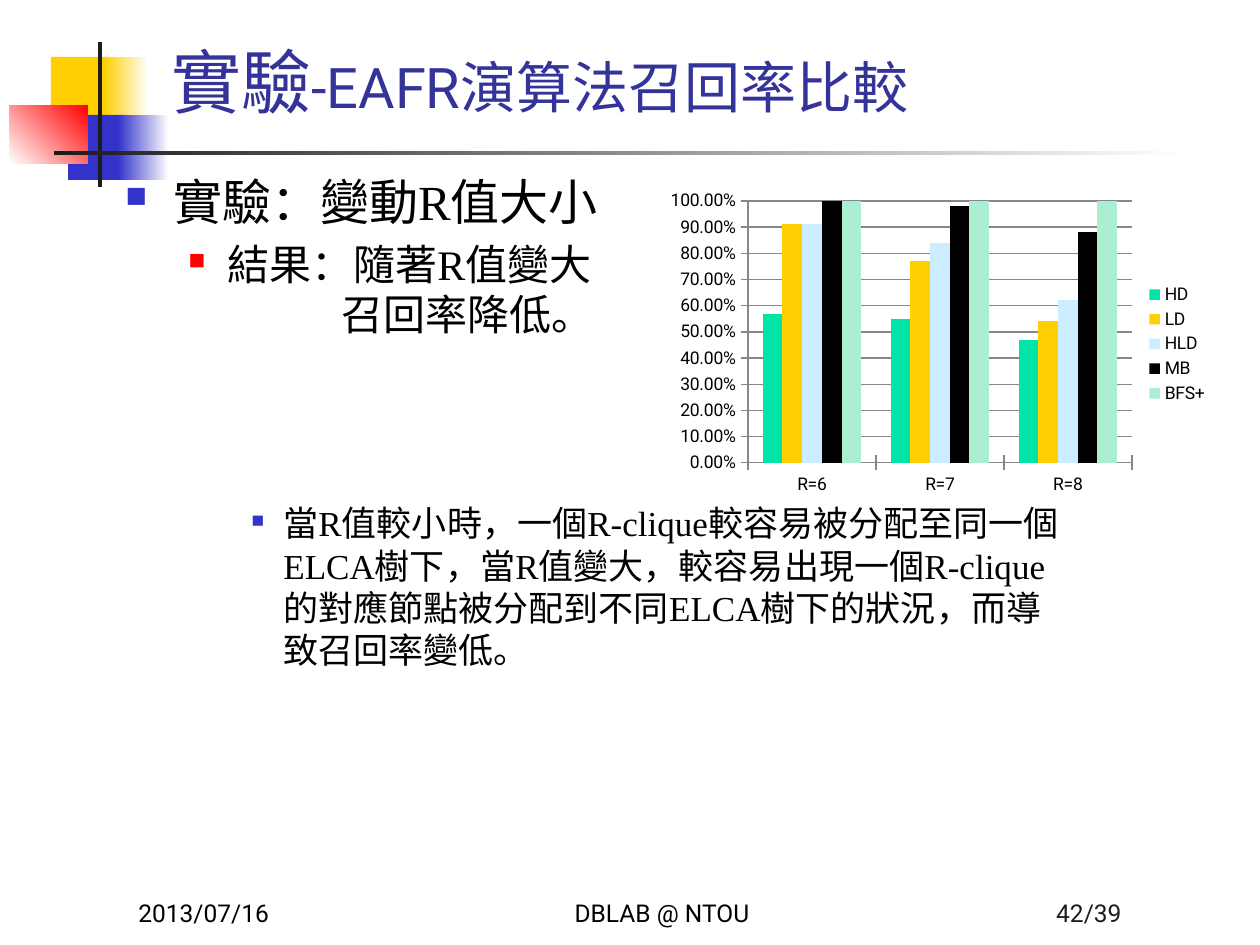
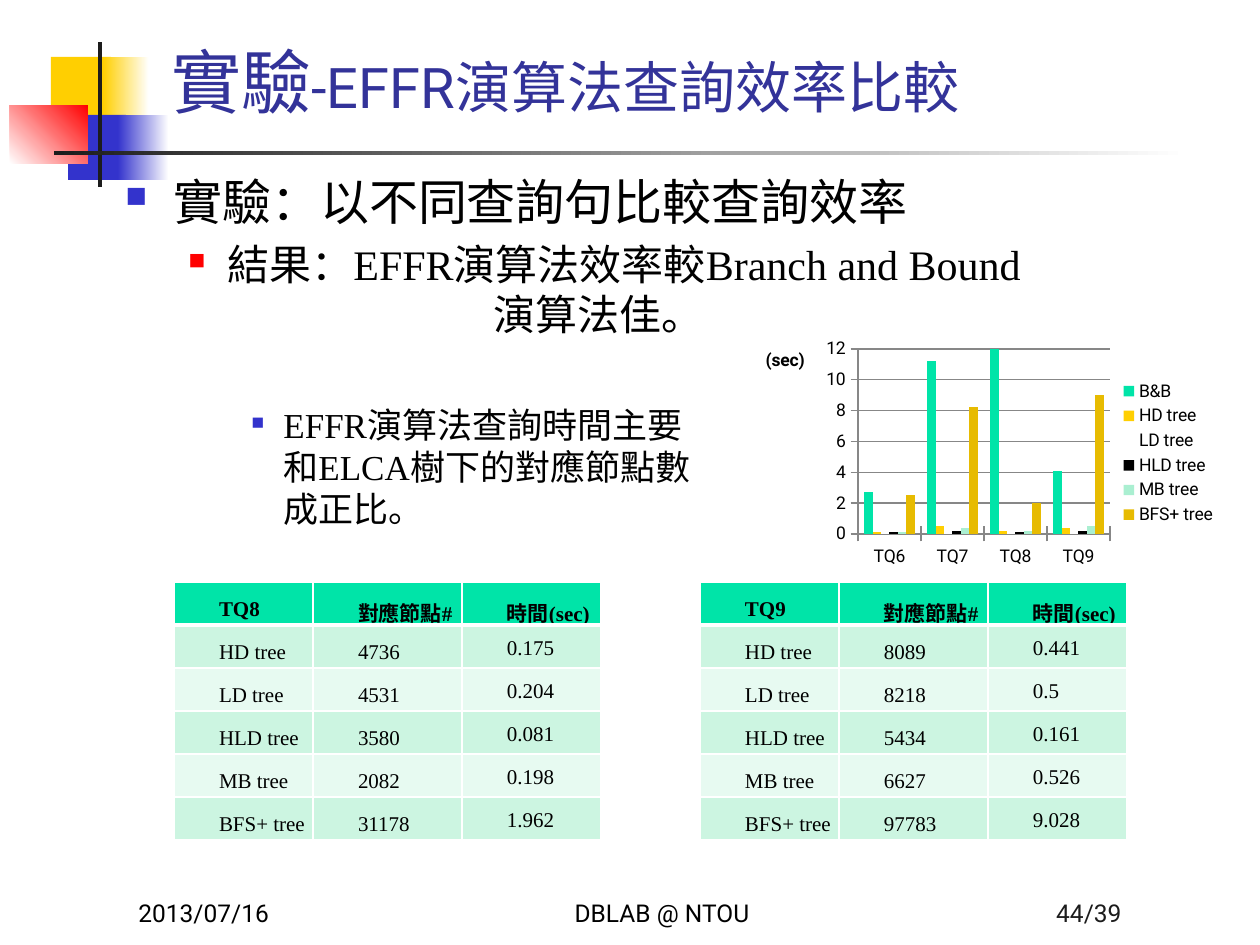
from dataclasses import dataclass
from typing import Any, NamedTuple

import pptx
import pptx.chart.data
import pptx.dml.color
import pptx.enum.chart
import pptx.enum.shapes
import pptx.enum.text
import pptx.oxml
import pptx.oxml.ns
import pptx.util

EMU_PER_PX = 914400 / 126
SANS, SERIF = "Roboto", "Times New Roman"
COLORS = {
    "white": "FFFFFF", "black": "000000", "ink": "1C1C1C", "title": "333399",
    "yellow": "FFCF01", "blue": "3333CC", "red": "FF0000", "green": "00E4A8",
    "sky": "CCECFF", "mint": "AAEFD1", "gold": "E7BB01", "grid": "878787",
    "row_dark": "CCF5E1", "row_light": "E7FAF1",
}
ALIGN = pptx.enum.text.PP_ALIGN
ANCHOR = pptx.enum.text.MSO_ANCHOR
qn = pptx.oxml.ns.qn


class Box(NamedTuple):
    left: int
    top: int
    width: int
    height: int


class Band(NamedTuple):
    box: Box
    start: str
    end: str = ""
    angle: int = 0


class Footer(NamedTuple):
    box: Box
    align: Any
    color: str


class Level(NamedTuple):
    margin: int
    hang: int
    size: int
    bullet_color: str
    bullet_percent: int


@dataclass
class Point:
    """One paragraph of the outline; continued_at holds the left margin of an unbulleted line."""
    text: str
    level: int
    space_before: float = 0
    continued_at: int = 0


@dataclass
class BarChart:
    box: Box
    plot: Box
    categories: list[str]
    series: dict[str, tuple[str, list[float]]]
    maximum: float
    step: float
    number_format: str
    unit: str = ""


@dataclass
class ResultTable:
    left: int
    query: str
    rows: list[tuple[str, str, str]]


BANDS = [
    Band(Box(51, 57, 60, 65), "yellow"),
    Band(Box(103, 57, 46, 65), "yellow", "white"),
    Band(Box(68, 115, 58, 65), "blue"),
    Band(Box(118, 115, 51, 65), "blue", "white"),
    Band(Box(10, 105, 78, 59), "white", "red", 45),
    Band(Box(98, 42, 4, 145), "ink"),
    Band(Box(54, 151, 1134, 4), "ink", "white"),
]
TITLE_BOX = Box(159, 21, 1074, 108)
OUTLINE_BOX = Box(113, 165, 963, 159)
FOOTERS = [
    Footer(Box(126, 871, 262, 63), ALIGN.LEFT, "black"),
    Footer(Box(462, 871, 400, 63), ALIGN.CENTER, "black"),
    Footer(Box(872, 871, 262, 63), ALIGN.RIGHT, "ink"),
]
LEVELS = [
    Level(48, 48, 28, "blue", 60),
    Level(102, 39, 24, "red", 55),
    Level(158, 32, 20, "blue", 50),
]
TABLE_TOP, ROW_HEIGHT, COLUMN_WIDTHS = 582, 43, (139, 149, 139)
HEADINGS = ("對應節點#", "時間(sec)")
TREES = ["HD tree", "LD tree", "HLD tree", "MB tree", "BFS+ tree"]


def px(length: float) -> int:
    return round(length * EMU_PER_PX)


def place(box: Box) -> list[int]:
    return [px(length) for length in box]


def rgb(name: str) -> pptx.dml.color.RGBColor:
    return pptx.dml.color.RGBColor.from_string(COLORS[name])


def apply(target: Any, values: dict[str, Any]) -> None:
    for name, value in values.items():
        setattr(target, name, value)


def style_font(font: Any, size: int, face: str, color: str = "black", bold: bool = False) -> None:
    apply(font, {"size": pptx.util.Pt(size), "name": face, "bold": bold})
    font.color.rgb = rgb(color)


def add_xml(parent: Any, tag: str, **attributes: Any) -> Any:
    child = parent.makeelement(qn(tag), {key: str(value) for key, value in attributes.items()})
    parent.append(child)
    return child


def add_band(slide: Any, band: Band) -> None:
    shape = slide.shapes.add_shape(pptx.enum.shapes.MSO_SHAPE.RECTANGLE, *place(band.box))
    shape.shadow.inherit = False
    shape.line.fill.background()
    if not band.end:
        shape.fill.solid()
        shape.fill.fore_color.rgb = rgb(band.start)
        return
    shape.fill.gradient()
    shape.fill.gradient_angle = band.angle
    for stop, color, position in zip(shape.fill.gradient_stops, (band.start, band.end), (0, 1)):
        stop.color.rgb = rgb(color)
        stop.position = position


def add_text_frame(slide: Any, box: Box, anchor: Any) -> Any:
    frame = slide.shapes.add_textbox(*place(box)).text_frame
    apply(frame, {"word_wrap": True, "vertical_anchor": anchor})
    return frame


def add_frame_parts(slide: Any, topic: str, page: str) -> None:
    """Draw what both slides share: bands, title and footers."""
    for band in BANDS:
        add_band(slide, band)
    title = add_text_frame(slide, TITLE_BOX, ANCHOR.BOTTOM).paragraphs[0]
    for text, size in (("實驗", 40), (topic, 32)):
        run = title.add_run()
        run.text = text
        style_font(run.font, size, SANS, "title")
    for footer, text in zip(FOOTERS, ("2013/07/16", "DBLAB @ NTOU", page)):
        paragraph = add_text_frame(slide, footer.box, ANCHOR.BOTTOM).paragraphs[0]
        apply(paragraph, {"text": text, "alignment": footer.align})
        style_font(paragraph.runs[0].font, 14, SANS, footer.color)


def add_outline(slide: Any, points: list[Point]) -> None:
    frame = add_text_frame(slide, OUTLINE_BOX, ANCHOR.TOP)
    for index, point in enumerate(points):
        paragraph = frame.add_paragraph() if index else frame.paragraphs[0]
        level = LEVELS[point.level]
        properties = paragraph._p.get_or_add_pPr()
        properties.set("marL", str(px(point.continued_at or level.margin)))
        properties.set("indent", str(0 if point.continued_at else -px(level.hang)))
        if point.continued_at:
            add_xml(properties, "a:buNone")
        else:
            add_xml(add_xml(properties, "a:buClr"), "a:srgbClr", val=COLORS[level.bullet_color])
            add_xml(properties, "a:buSzPct", val=level.bullet_percent * 1000)
            add_xml(properties, "a:buChar", char="■")
        apply(paragraph, {"text": point.text, "level": point.level,
                          "space_before": pptx.util.Pt(point.space_before)})
        for run in paragraph.runs:
            style_font(run.font, level.size, SERIF)


def make_layout(parent: Any, x: float, y: float, size: tuple[float, ...] = ()) -> Any:
    """Replace the layout of a chart part by a manual one, in fractions of the chart."""
    for old in parent.findall(qn("c:layout")):
        parent.remove(old)
    layout = add_xml(parent, "c:layout")
    manual = add_xml(layout, "c:manualLayout")
    if size:
        add_xml(manual, "c:layoutTarget", val="inner")
    add_xml(manual, "c:xMode", val="edge")
    add_xml(manual, "c:yMode", val="edge")
    for tag, value in zip(("c:x", "c:y", "c:w", "c:h"), (x, y, *size)):
        add_xml(manual, tag, val=round(value, 4))
    return layout


def add_bar_chart(slide: Any, spec_: BarChart) -> None:
    data = pptx.chart.data.CategoryChartData()
    data.categories = spec_.categories
    for name, (_, values) in spec_.series.items():
        data.add_series(name, values)
    kind = pptx.enum.chart.XL_CHART_TYPE.COLUMN_CLUSTERED
    chart = slide.shapes.add_chart(kind, *place(spec_.box), data).chart
    apply(chart, {"has_title": False, "has_legend": True})
    style_font(chart.font, 10, SANS)
    apply(chart.legend, {"position": pptx.enum.chart.XL_LEGEND_POSITION.RIGHT,
                         "include_in_layout": False})
    bars = chart.plots[0]
    apply(bars, {"gap_width": 150, "overlap": 0, "vary_by_categories": False})
    for series, (color, _) in zip(bars.series, spec_.series.values()):
        series.format.fill.solid()
        series.format.fill.fore_color.rgb = rgb(color)
        series.invert_if_negative = False

    scale = chart.value_axis
    apply(scale, {"minimum_scale": 0, "maximum_scale": spec_.maximum,
                  "major_unit": spec_.step, "has_major_gridlines": True})
    apply(scale.tick_labels, {"number_format": spec_.number_format,
                              "number_format_is_linked": False})
    for axis in (scale, chart.category_axis):
        axis.major_tick_mark = pptx.enum.chart.XL_TICK_MARK.CROSS
    for part in (scale, chart.category_axis, scale.major_gridlines):
        part.format.line.color.rgb = rgb("grid")
        part.format.line.width = pptx.util.Pt(0.75)

    box, plot = spec_.box, spec_.plot
    area = chart._chartSpace.find(".//" + qn("c:plotArea"))
    area.insert(0, make_layout(area, (plot.left - box.left) / box.width,
                               (plot.top - box.top) / box.height,
                               (plot.width / box.width, plot.height / box.height)))
    if spec_.unit:
        frame = scale.axis_title.text_frame
        frame.text = spec_.unit
        style_font(frame.paragraphs[0].runs[0].font, 10, SANS, bold=True)
        frame._txBody.find(qn("a:bodyPr")).attrib.update({"rot": "0", "vert": "horz"})
        title = scale.axis_title._element
        title.find(qn("c:tx")).addnext(make_layout(title, 0.03, 0.05))


def set_borders(cell: Any, row: int) -> None:
    properties = cell._tc.get_or_add_tcPr()
    thick = {"B": row == 0, "T": row == 1}
    for index, side in enumerate("LRTB"):
        line = add_xml(properties, f"a:ln{side}", w=pptx.util.Pt(3 if thick.get(side) else 1))
        add_xml(add_xml(line, "a:solidFill"), "a:srgbClr", val=COLORS["white"])
        properties.insert(index, line)


def add_result_table(slide: Any, result: ResultTable) -> None:
    lines = [(result.query, *HEADINGS), *result.rows]
    box = Box(result.left, TABLE_TOP, sum(COLUMN_WIDTHS), ROW_HEIGHT * len(lines))
    table = slide.shapes.add_table(len(lines), len(COLUMN_WIDTHS), *place(box)).table
    for column, width in zip(table.columns, COLUMN_WIDTHS):
        column.width = px(width)
    for row, texts in enumerate(lines):
        table.rows[row].height = px(ROW_HEIGHT)
        fill = "green" if row == 0 else "row_dark" if row % 2 else "row_light"
        for column, text in enumerate(texts):
            cell = table.cell(row, column)
            is_time = row > 0 and column == 2
            apply(cell, {"margin_left": px(3), "margin_right": px(3), "margin_top": 0,
                         "margin_bottom": 0,
                         "vertical_anchor": ANCHOR.TOP if is_time else ANCHOR.MIDDLE})
            cell.fill.solid()
            cell.fill.fore_color.rgb = rgb(fill)
            set_borders(cell, row)
            paragraph = cell.text_frame.paragraphs[0]
            apply(paragraph, {"text": text, "line_spacing": 1.5})
            paragraph._p.get_or_add_pPr().set("indent", str(px(42)))
            style_font(paragraph.runs[0].font, 12, SERIF, bold=row == 0)


def main() -> None:
    deck = pptx.Presentation()
    apply(deck, {"slide_width": px(1260), "slide_height": px(945)})
    recall, speed = (deck.slides.add_slide(deck.slide_layouts[6]) for _ in range(2))

    add_frame_parts(recall, "-EAFR演算法召回率比較", "42/39")
    add_outline(recall, [
        Point("實驗：變動R值大小", 0),
        Point("結果：隨著R值變大", 1, 4.8),
        Point("召回率降低。", 1, continued_at=216),
        Point("當R值較小時，一個R-clique較容易被分配至同一個ELCA樹下，當R值變大，較容易出現一個"
              "R-clique的對應節點被分配到不同ELCA樹下的狀況，而導致召回率變低。", 2, 93),
    ])
    add_bar_chart(recall, BarChart(
        Box(660, 185, 561, 318), Box(748, 201, 384, 262), ["R=6", "R=7", "R=8"],
        {"HD": ("green", [0.57, 0.55, 0.47]), "LD": ("yellow", [0.91, 0.77, 0.54]),
         "HLD": ("sky", [0.91, 0.84, 0.62]), "MB": ("black", [1, 0.98, 0.88]),
         "BFS+": ("mint", [1, 1, 1])}, 1, 0.1, "0.00%"))

    add_frame_parts(speed, "-EFFR演算法查詢效率比較", "44/39")
    add_outline(speed, [
        Point("實驗：以不同查詢句比較查詢效率", 0),
        Point("結果：EFFR演算法效率較Branch and Bound", 1, 4.8),
        Point("演算法佳。", 1, continued_at=368),
        Point("EFFR演算法查詢時間主要\v和ELCA樹下的對應節點數\v成正比。", 2, 37),
    ])
    tree_bars = zip(TREES, ("yellow", "white", "black", "mint", "gold"), (
        [0.1, 0.5, 0.2, 0.4], [0.2, 0.5, 0.2, 0.5], [0.1, 0.2, 0.1, 0.2],
        [0.1, 0.4, 0.2, 0.5], [2.5, 8.2, 2, 9]))
    add_bar_chart(speed, BarChart(
        Box(748, 334, 481, 238), Box(858, 349, 252, 185), ["TQ6", "TQ7", "TQ8", "TQ9"],
        {"B&B": ("green", [2.7, 11.2, 12, 4.1]),
         **{tree: (color, values) for tree, color, values in tree_bars}},
        12, 2, "General", "(sec)"))
    for left, query, nodes, seconds in (
        (174, "TQ8", "4736 4531 3580 2082 31178", "0.175 0.204 0.081 0.198 1.962"),
        (700, "TQ9", "8089 8218 5434 6627 97783", "0.441 0.5 0.161 0.526 9.028"),
    ):
        rows = list(zip(TREES, nodes.split(), seconds.split()))
        add_result_table(speed, ResultTable(left, query, rows))
    deck.save("out.pptx")


if __name__ == "__main__":
    main()
